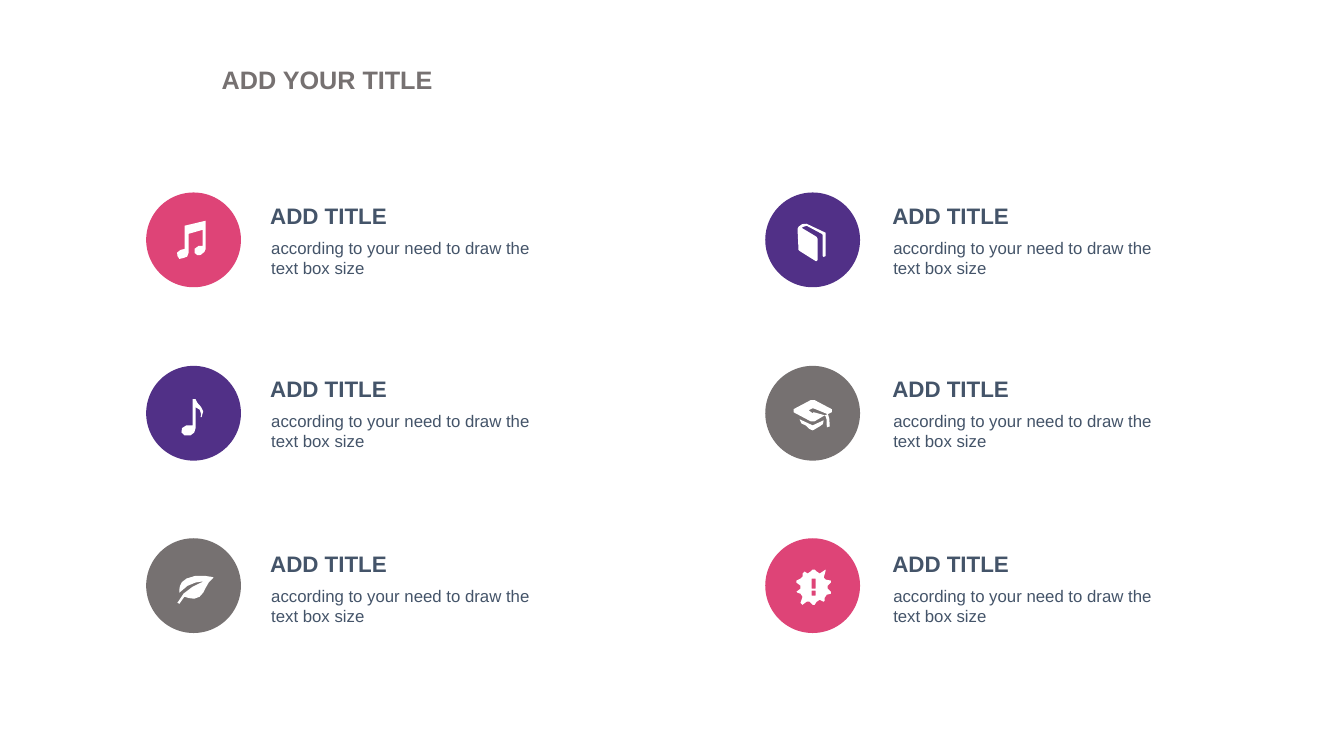
"""Build a slide of six icon bullets in two columns under a title."""
import itertools
import math
from dataclasses import dataclass

import pptx
import pptx.dml.color
import pptx.enum.shapes
import pptx.enum.text
import pptx.util

Inches = pptx.util.Inches

PINK, PURPLE, GREY, SLATE, WHITE = "DE4477", "513087", "767171", "445469", "FFFFFF"
DIAMETER = 0.94
STEP_LENGTH, MAX_STEPS = 5, 4
CIRCLE_LEFTS = (1.45, 7.59)
TEXT_LEFTS = (2.68, 8.85)
CIRCLE_TOPS = (1.91, 3.63, 5.34)
TEXT_TOPS = (2.01, 3.72, 5.46)

TITLE = {"size": pptx.util.Pt(18), "bold": True, "name": "Arial"}
HEADING = {"size": pptx.util.Pt(16), "bold": True, "name": "Arial"}
BODY = {"size": pptx.util.Pt(12), "bold": False, "name": "Arial"}

TWO_NOTES = """M 38 33 L 38 56 C 37 56 36 56 34 57 C 31 58 29 61 31 63
C 31 66 34 67 37 65 C 40 65 42 63 42 60 L 42 41 L 56 37 L 56 53
C 54 52 53 52 52 53 C 48 54 47 57 48 60 C 49 62 52 63 54 62
C 57 60 59 58 59 56 L 59 28"""
ONE_NOTE = """M 49 33 L 46 33 L 46 59 C 44 58 42 58 40 59 C 36 60 34 63 35 66
C 36 69 39 70 44 69 C 47 68 49 65 49 62 L 49 41 C 55 42 55 49 54 51
C 54 52 55 52 55 51 C 61 42 49 38 49 33"""
LEAF = """M 40 40 C 32 44 33 51 33 54 C 43 42 57 43 57 43 C 57 43 36 50 31 64
C 30 65 33 66 33 65 C 35 62 38 58 38 58 C 42 59 48 62 53 58
C 59 54 59 44 67 39 C 69 39 50 34 40 40"""
BOOK = """M 60 40 L 41 31 C 39 30 34 32 33 34 C 32 35 32 36 32 36 L 33 57
L 34 58 L 50 68 L 51 68 L 52 67 L 52 46
C 52 45 52 45 51 44 L 36 35 C 36 35 36 34 38 34 C 39 33 40 33 41 33
L 56 41 L 57 42 L 57 63 C 57 64 57 64 58 64 C 59 64 60 64 60 63"""
CAP = """M 34 53 C 35 57 36 58 40 59 C 43 62 45 64 47 64 C 48 64 50 62 54 60
C 58 58 57 58 58 54 L 47 59
M 66 43 L 49 34 C 48 34 46 34 45 34 L 28 43 C 27 44 27 45 28 46 L 45 55
C 46 56 48 56 49 55 L 59 49 L 48 46 C 48 46 48 47 47 47
C 45 47 43 45 43 44 C 43 43 45 42 47 42 C 48 42 50 43 50 43
L 62 48 L 66 46 C 66 45 66 44 66 43
M 61 61 C 60 62 63 62 64 60 C 64 50 62 48 62 48 L 59 49 C 59 49 62 51 61 61"""
BADGE = """M 65 53 L 62 50 C 60 49 60 47 62 47 L 65 44 C 66 42 65 42 65 42 L 60 41
C 58 41 58 40 58 39 L 60 32 C 61 31 60 31 60 31 L 54 35 C 53 36 51 35 51 33
L 49 31 C 49 29 47 29 47 31 L 45 33 C 44 35 43 35 42 35 L 39 33
C 37 33 36 33 37 35 L 37 38 C 37 39 36 40 35 40 L 31 42 C 30 42 30 42 31 44
L 35 47 C 35 47 35 49 35 50 L 31 53 C 30 54 30 54 32 54 L 35 55
C 37 55 37 57 37 58 L 35 64 C 35 66 35 66 37 66 L 41 63 C 42 62 44 62 44 63
L 47 66 C 47 68 49 67 49 66 L 51 63 C 51 61 53 61 54 61 L 58 63
C 58 64 60 63 59 62 L 59 59 C 59 58 60 57 61 56 L 65 55 C 65 54 66 54 65 53
M 50 57 L 46 57 L 46 52 L 50 52
M 50 50 L 46 50 L 46 40 L 50 40"""


@dataclass
class Item:
    column: int
    row: int
    color: str
    icon: str


ITEMS = [
    Item(0, 0, PINK, TWO_NOTES),
    Item(0, 1, PURPLE, ONE_NOTE),
    Item(0, 2, GREY, LEAF),
    Item(1, 0, PURPLE, BOOK),
    Item(1, 1, GREY, CAP),
    Item(1, 2, PINK, BADGE),
]


def rgb(color: str) -> pptx.dml.color.RGBColor:
    return pptx.dml.color.RGBColor.from_string(color)


def paint(sp, color: str) -> None:
    sp.shadow.inherit = False
    sp.fill.solid()
    sp.fill.fore_color.rgb = rgb(color)
    sp.line.fill.background()


def outline(contour: str) -> list[tuple[float, float]]:
    points = []
    for segment in contour.replace("L", "|").replace("C", "|").split("|"):
        numbers = [int(n) for n in segment.split()]
        ends = list(zip(numbers[::2], numbers[1::2]))
        if len(ends) == 1:
            points += ends
            continue
        curve = [points[-1], *ends]
        length = sum(math.dist(a, b) for a, b in itertools.pairwise(curve))
        steps = min(MAX_STEPS, max(1, round(length / STEP_LENGTH)))
        for step in range(1, steps + 1):
            t = step / steps
            weights = ((1 - t) ** 3, 3 * t * (1 - t) ** 2, 3 * t * t * (1 - t), t ** 3)
            points.append(tuple(sum(w * p[axis] for w, p in zip(weights, curve))
                                for axis in (0, 1)))
    return points


def add_icon(s, left: float, top: float, icon: str) -> None:
    contours = [[(Inches(left + x / 100), Inches(top + y / 100)) for x, y in outline(c)]
                for c in icon.split("M")[1:]]
    builder = s.shapes.build_freeform(*contours[0][0])
    for i, points in enumerate(contours):
        if i:
            builder.move_to(*points[0])
        builder.add_line_segments(points[1:], close=True)
    paint(builder.convert_to_shape(), WHITE)


def add_text(s, box: tuple[float, ...], text: str, style: dict, color: str,
             inset: bool = False) -> None:
    tf = s.shapes.add_textbox(*map(Inches, box)).text_frame
    tf.word_wrap = not inset
    tf.auto_size = pptx.enum.text.MSO_AUTO_SIZE.SHAPE_TO_FIT_TEXT
    if not inset:
        for side in ("left", "top", "right", "bottom"):
            setattr(tf, f"margin_{side}", 0)
    r = tf.paragraphs[0].add_run()
    r.text = text
    for key, value in style.items():
        setattr(r.font, key, value)
    r.font.color.rgb = rgb(color)


def add_circle(s, item: Item) -> None:
    box = (CIRCLE_LEFTS[item.column], CIRCLE_TOPS[item.row], DIAMETER, DIAMETER)
    paint(s.shapes.add_shape(pptx.enum.shapes.MSO_SHAPE.OVAL, *map(Inches, box)), item.color)


def add_labels(s, item: Item) -> None:
    left, top = TEXT_LEFTS[item.column], TEXT_TOPS[item.row]
    add_text(s, (left, top, 1.42, 0.27), "ADD TITLE", HEADING, SLATE)
    add_text(s, (left + 0.01, top + 0.35, 2.64, 0.4),
             "according to your need to draw the text box size", BODY, SLATE)


def main() -> None:
    prs = pptx.Presentation()
    prs.slide_width, prs.slide_height = Inches(13.33), Inches(7.5)
    s = prs.slides.add_slide(prs.slide_layouts[6])
    for item in ITEMS:
        add_circle(s, item)
    for item in ITEMS:
        add_icon(s, CIRCLE_LEFTS[item.column], CIRCLE_TOPS[item.row], item.icon)
    for item in ITEMS:
        add_labels(s, item)
    add_text(s, (2.1, 0.59, 2.32, 0.4), "ADD YOUR TITLE", TITLE, GREY, inset=True)
    prs.save("out.pptx")


if __name__ == "__main__":
    main()
